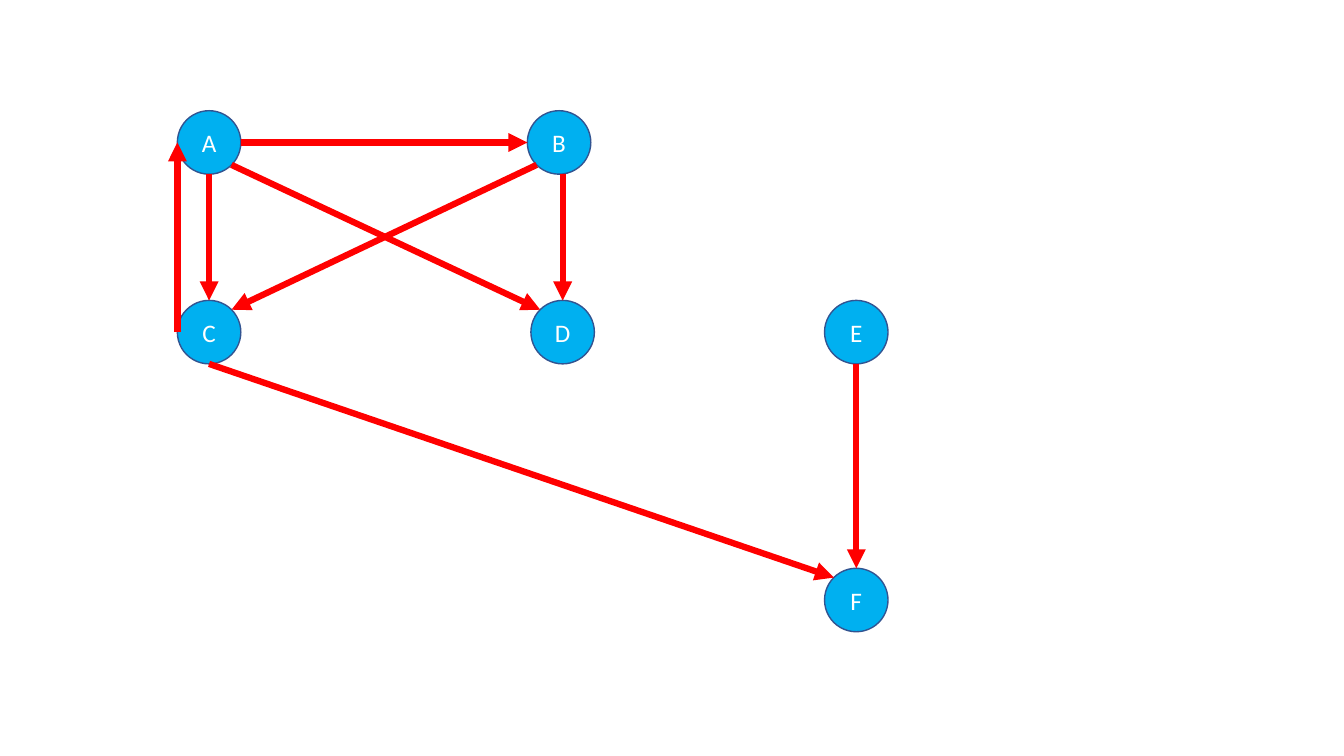
from math import cos, radians, sin

from lxml.etree import SubElement
from pptx import Presentation
from pptx.dml.color import RGBColor
from pptx.enum.shapes import MSO_CONNECTOR as Connector, MSO_SHAPE as Preset
from pptx.enum.text import MSO_ANCHOR as Anchor, PP_ALIGN as Align
from pptx.oxml.ns import qn
from pptx.util import Cm, Pt

COLOURS = {"node": "00B0F0", "outline": "325491", "edge": "FF0000", "label": "FFFFFF"}
LABEL_FORMAT = {"name": "Calibri", "size": Pt(18)}
DIAMETER = 1.6
GRAPH_BOX = (4.47, 2.79)
NODES = {
    "A": (0, 0),
    "C": (0, 4.78),
    "B": (8.82, 0),
    "D": (8.91, 4.78),
    "E": (16.31, 4.78),
    "F": (16.31, 11.53),
}
ANGLES = {
    "right": 0, "bottom right": 45, "bottom": 90, "bottom left": 135,
    "left": 180, "top left": 225, "top": 270, "top right": 315,
}
B_TO_D_SHIFT = NODES["D"][0] - NODES["B"][0]
EDGES = [
    ("A", "right", "B", "left", 0),
    ("A", "bottom", "C", "top", 0),
    ("A", "bottom right", "D", "top left", 0),
    ("B", "bottom", "D", "top", B_TO_D_SHIFT),
    ("B", "bottom left", "C", "top right", 0),
    ("C", "left", "A", "left", 0),
    ("C", "bottom", "F", "top left", 0),
    ("E", "bottom", "F", "top", 0),
]


def colour(name):
    """Return the named palette colour."""
    return RGBColor.from_string(COLOURS[name])


def set_line(line, name, width):
    """Give a line its colour and width in points."""
    line.color.rgb = colour(name)
    line.width = Pt(width)


def add_node(slide, label, left, top):
    """Add a labelled circle."""
    shape = slide.shapes.add_shape(
        Preset.OVAL, Cm(left), Cm(top), Cm(DIAMETER), Cm(DIAMETER))
    shape.shadow.inherit = False
    shape.fill.solid()
    shape.fill.fore_color.rgb = colour("node")
    set_line(shape.line, "outline", 1)
    shape.text_frame.vertical_anchor = Anchor.MIDDLE
    paragraph = shape.text_frame.paragraphs[0]
    paragraph.alignment = Align.CENTER
    run = paragraph.add_run()
    run.text = label
    for attribute, value in LABEL_FORMAT.items():
        setattr(run.font, attribute, value)
    run.font.color.rgb = colour("label")


def add_arrow(slide, start, end):
    """Add a straight arrow between two points in centimetres."""
    connector = slide.shapes.add_connector(
        Connector.STRAIGHT, *(Cm(value) for value in (*start, *end)))
    set_line(connector.line, "edge", 4.5)
    properties = connector._element.spPr
    SubElement(properties.find(qn("a:ln")), qn("a:tailEnd"), type="triangle")
    SubElement(properties, qn("a:effectLst"))


def rim_point(box, label, side):
    """Return the point on the rim of a node at the given side."""
    angle = radians(ANGLES[side])
    radius = DIAMETER / 2
    left, top = (origin + offset for origin, offset in zip(box, NODES[label]))
    return left + radius * (1 + cos(angle)), top + radius * (1 + sin(angle))


def add_graph(slide, box):
    """Draw the directed graph from the left and top of its box."""
    for label, (left, top) in NODES.items():
        add_node(slide, label, box[0] + left, box[1] + top)
    for source, source_side, target, target_side, shift in EDGES:
        start_x, start_y = rim_point(box, source, source_side)
        end = rim_point(box, target, target_side)
        add_arrow(slide, (start_x + shift, start_y), end)


def main():
    """Build and save the presentation."""
    presentation = Presentation()
    presentation.slide_width = Cm(33.87)
    presentation.slide_height = Cm(19.05)
    slide = presentation.slides.add_slide(presentation.slide_layouts[6])
    add_graph(slide, GRAPH_BOX)
    presentation.save("out.pptx")


main()
